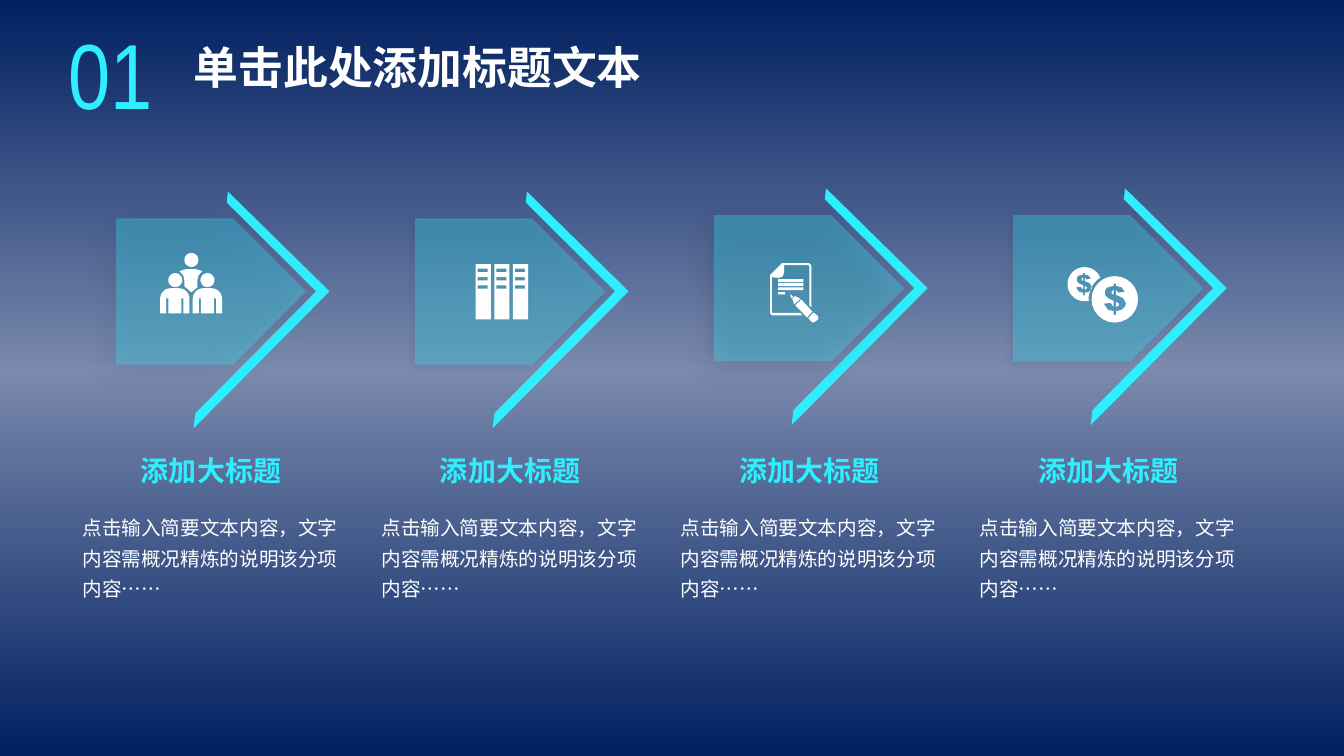
from copy import deepcopy
from math import cos, radians, sin

from lxml.etree import SubElement
from pptx import Presentation
from pptx.dml.color import RGBColor
from pptx.enum.shapes import MSO_SHAPE
from pptx.enum.text import MSO_ANCHOR, MSO_AUTO_SIZE, PP_ALIGN
from pptx.oxml.ns import qn
from pptx.util import Pt

NAVY = RGBColor(0x00, 0x20, 0x60)
MIST = RGBColor(0x7A, 0x89, 0xAD)
CYAN = RGBColor(0x2F, 0xEF, 0xFF)
WHITE = RGBColor(0xFF, 0xFF, 0xFF)
INK = RGBColor(0x20, 0x34, 0x45)
BLACK = RGBColor(0x00, 0x00, 0x00)

SANS = "Noto Sans CJK SC"
HEAD = "添加大标题"
BODY = "点击输入简要文本内容，文字内容需概况精炼的说明该分项内容……"
LEFT, PITCH = 51.8, 213.6
CHEVRON = [(111, 0), (183.6, 71.3), (86.4, 169.2), (87.8, 158.4),
           (174, 71.3), (110.2, 7.9)]
DOLLAR = [
    [(7.2, -5.4), (2.5, -4.7), (1, -6.5), (1, -3.2), (5.8, -1), (8, 2.5),
     (7.5, 5), (5, 7.5), (1, 8.5), (1, 11.2), (-.8, 11.2), (-.8, 8.5),
     (-5, 7.5), (-7.9, 3.2), (-2.9, 2.5), (-.8, 5.4), (-.8, 1.1),
     (-4.3, -.4), (-7, -3), (-7, -6), (-5.8, -8.3), (-.8, -9.7),
     (-.8, -11.2), (1, -11.2), (1, -9.7), (5, -8.5)],
    [(1, 5.4), (2.8, 4.6), (2.9, 3), (1, 1.8)],
    [(-.8, -6.8), (-2.2, -5.5), (-2.2, -4), (-.8, -3.4)],
]


def arc(x, y, r, start=0, end=360, steps=24):
    angles = [radians(start + (end - start) * i / steps) for i in range(steps + 1)]
    return [(x + r * cos(a), y + r * sin(a)) for a in angles]


def rect(x, y, w, h):
    return [(x, y), (x + w, y), (x + w, y + h), (x, y + h)]


def move(loop, x, y, scale=1):
    return [(x + px * scale, y + py * scale) for px, py in loop]


def person(x):
    """Shoulders and arms of a front figure."""
    return [(x, 43.2), *arc(x + 7.5, 32.7, 7.5, 180, 270, 8),
            *arc(x + 13.4, 32.7, 7.5, 270, 360, 8), (x + 20.9, 43.2),
            (x + 16.6, 43.2), (x + 16.6, 32.4), (x + 15.1, 32.4), (x + 15.1, 43.2),
            (x + 5.8, 43.2), (x + 5.8, 32.4), (x + 4.3, 32.4), (x + 4.3, 43.2)]


def team():
    back = [(30.2, 13), (27.4, 16), (26.6, 19.4), (26.6, 24.5), (22.3, 28.1),
            (17.3, 23.8), (17.3, 19.4), (16.5, 16), (13.7, 13), (18.7, 11.5),
            (25.2, 11.5)]
    heads = [arc(x, y, 5) for x, y in ((22.3, 5), (33.8, 19.4), (10.8, 19.4))]
    return [*heads, back, person(0), person(23.3)]


def files():
    loops = []
    for x in (0, 13.3, 26.6):
        loops.append(rect(x, 0, 10.8, 39.6))
        loops += [rect(x + 1.4, 3.4 + 5.9 * i, 7.2, 2.3) for i in range(3)]
    return loops


def note():
    page = [(1.4, 10.1), (6.5, 10.6), (9.2, 9.4), (10.1, 6.5), (10.1, 1.4),
            (27.4, 1.4), (28.1, 2.2), (28.1, 30.2), (29.5, 31.7), (29.5, 2),
            (28.7, .6), (27.4, 0), (8.6, 0), (0, 8.6), (0, 35.3), (.6, 36.8),
            (2.2, 37.4), (23, 37.4), (21.6, 35.6), (1.4, 35.6)]
    tip = [(15.1, 25.2), (16.6, 23.8), (14.4, 22.3)]
    neck = [(17.3, 29.5), (21.6, 25.6), (18, 23.6), (15.8, 25.2)]
    stem = [(22.3, 25.9), (18, 30.2), (26.6, 38.9), (30.2, 34.6)]
    end = [(27.4, 39.4), (29.5, 41.8), (31, 42.5), (32.4, 41.8), (34.2, 40.3),
           (34.6, 38.9), (33.8, 37.4), (31, 35.3)]
    lines = [rect(5.8, 11.5 + 2.9 * i, 18, 2.1) for i in range(3)]
    return [page, tip, neck, stem, end, *lines, rect(5.8, 20.7, 5, 1.6)]


def coins():
    rear = arc(12.2, 12.2, 12.2, 75, 335) + arc(33.8, 23, 18.7, 238, 175)
    return [rear, arc(33.8, 23, 16.6),
            *[move(loop, 33.8, 23) for loop in DOLLAR],
            *[move(loop, 11.7, 12.2, .72) for loop in DOLLAR]]


def trace(slide, x, y, loops, color):
    """Draw closed loops of points as one filled outline."""
    build = None
    for loop in loops:
        pts = [(Pt(px), Pt(py)) for px, py in move(loop, x, y)]
        if build is None:
            build = slide.shapes.build_freeform(*pts[0])
        else:
            build.move_to(*pts[0])
        build.add_line_segments(pts[1:], close=True)
    shape = build.convert_to_shape()
    shape.shadow.inherit = False
    shape.fill.solid()
    shape.fill.fore_color.rgb = color
    shape.line.fill.background()


def shade(shape, color, alpha, blur, dist):
    effects = shape._element.spPr.find(qn("a:effectLst"))
    outer = SubElement(effects, qn("a:outerShdw"), blurRad=str(Pt(blur)),
                       dist=str(Pt(dist)), dir=str(135 * 60000), algn="tr",
                       rotWithShape="0")
    tone = SubElement(outer, qn("a:srgbClr"), val=str(color))
    SubElement(tone, qn("a:alpha"), val=str(alpha * 1000))


def write(shape, text, size, color, font, bold=False, align=PP_ALIGN.LEFT, space=1.0):
    frame = shape.text_frame
    frame.text = text
    frame.word_wrap = True
    frame.auto_size = MSO_AUTO_SIZE.NONE
    frame.vertical_anchor = MSO_ANCHOR.TOP
    para = frame.paragraphs[0]
    para.alignment = align
    para.line_spacing = space
    run = para.runs[0]
    run.font.size = Pt(size)
    run.font.bold = bold
    run.font.name = font
    run.font.color.rgb = color
    SubElement(run._r.get_or_add_rPr(), qn("a:ea"), typeface=font)


def add_text(slide, box, *args, **style):
    write(slide.shapes.add_textbox(*map(Pt, box)), *args, **style)


def add_back(slide):
    fill = slide.background.fill
    fill.gradient()
    fill.gradient_angle = 270
    first, last = fill.gradient_stops
    first.color.rgb = last.color.rgb = NAVY
    first.position, last.position = 0, 1
    stops = slide.background._cSld.find(".//" + qn("a:gsLst"))
    stops.insert(1, deepcopy(stops[0]))
    middle = fill.gradient_stops[1]
    middle.color.rgb = MIST
    middle.position = .49


def add_header(slide, x, y):
    title = slide.shapes.title
    title.left, title.top = Pt(x + 95.8), Pt(y + 15.8)
    title.width, title.height = Pt(337.7), Pt(46)
    write(title, "单击此处添加标题文本", 32, WHITE, SANS, bold=True)
    add_text(slide, (x, y, 87, 87), "01", 66, CYAN, "Arial Narrow",
             align=PP_ALIGN.CENTER)


def add_arrow(slide, x, y, icon, dx, dy, shadow):
    trace(slide, x, y, [CHEVRON], CYAN)
    plate = slide.shapes.add_shape(MSO_SHAPE.PENTAGON, Pt(x + 31), Pt(y + 19.2),
                                   Pt(136), Pt(104.4))
    plate.shadow.inherit = False
    plate.fill.solid()
    plate.fill.fore_color.rgb = CYAN
    tone = plate._element.spPr.find(".//" + qn("a:srgbClr"))
    SubElement(tone, qn("a:alpha"), val="30000")
    plate.line.fill.background()
    shade(plate, *shadow)
    trace(slide, x + dx, y + dy, icon(), WHITE)


def add_label(slide, x, y):
    add_text(slide, (x + 22.3, y, 153.4, 26.6), HEAD, 20, CYAN, "League Spartan",
             bold=True, align=PP_ALIGN.CENTER, space=.8)
    add_text(slide, (x, y + 35.3, 197.3, 73.4), BODY, 14, WHITE, SANS, space=1.3)


def main():
    deck = Presentation()
    deck.slide_width, deck.slide_height = Pt(960), Pt(540)
    slide = deck.slides.add_slide(deck.slide_layouts[5])
    add_back(slide)
    add_header(slide, 35.3, 8.6)
    soft = (BLACK, 20, 7, 3)
    steps = [(136.8, team, 62.6, 43.9, (INK, 40, 20, 5)),
             (136.8, files, 74.4, 51.8, soft),
             (134.5, note, 71, 53.4, (BLACK, 40, 20, 5)),
             (134.5, coins, 69.9, 56.3, soft)]
    for i, (y, *parts) in enumerate(steps):
        x = LEFT + i * PITCH
        add_arrow(slide, x, y, *parts)
        add_label(slide, x, 324.7)
    deck.save("out.pptx")


if __name__ == "__main__":
    main()
